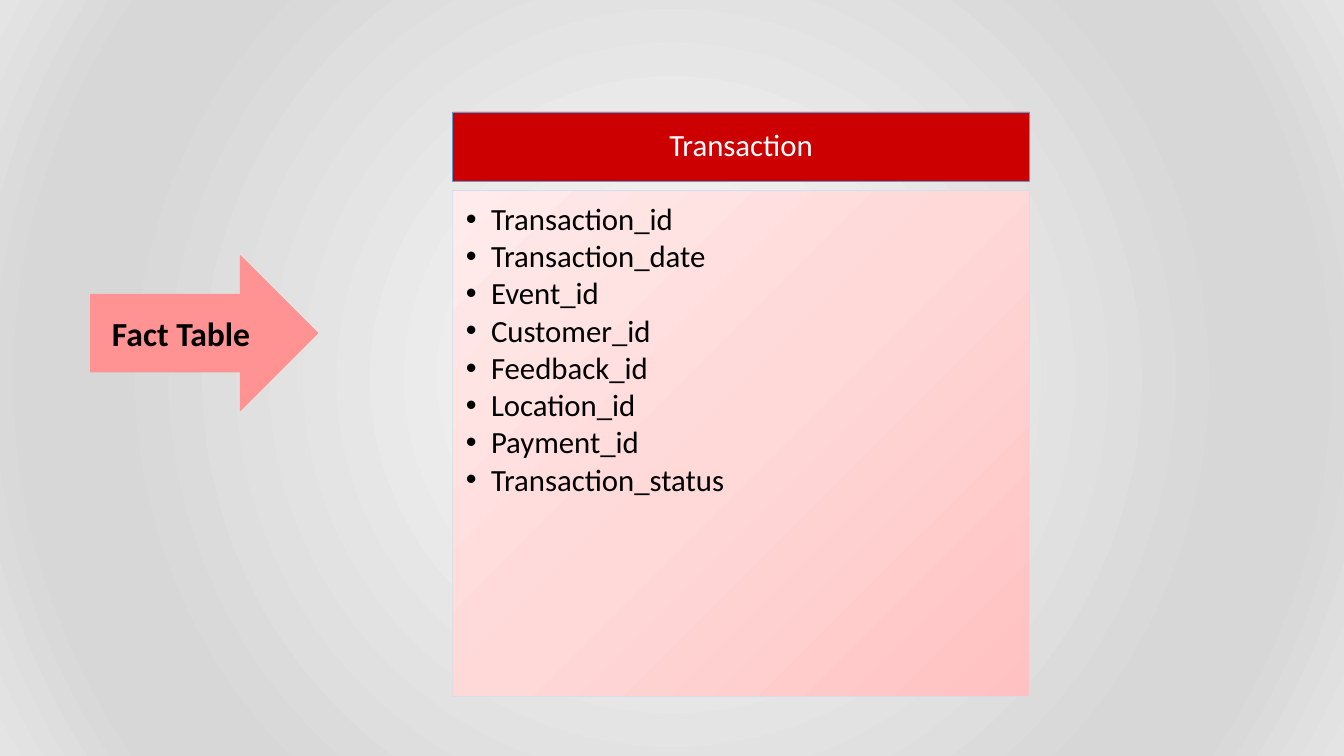
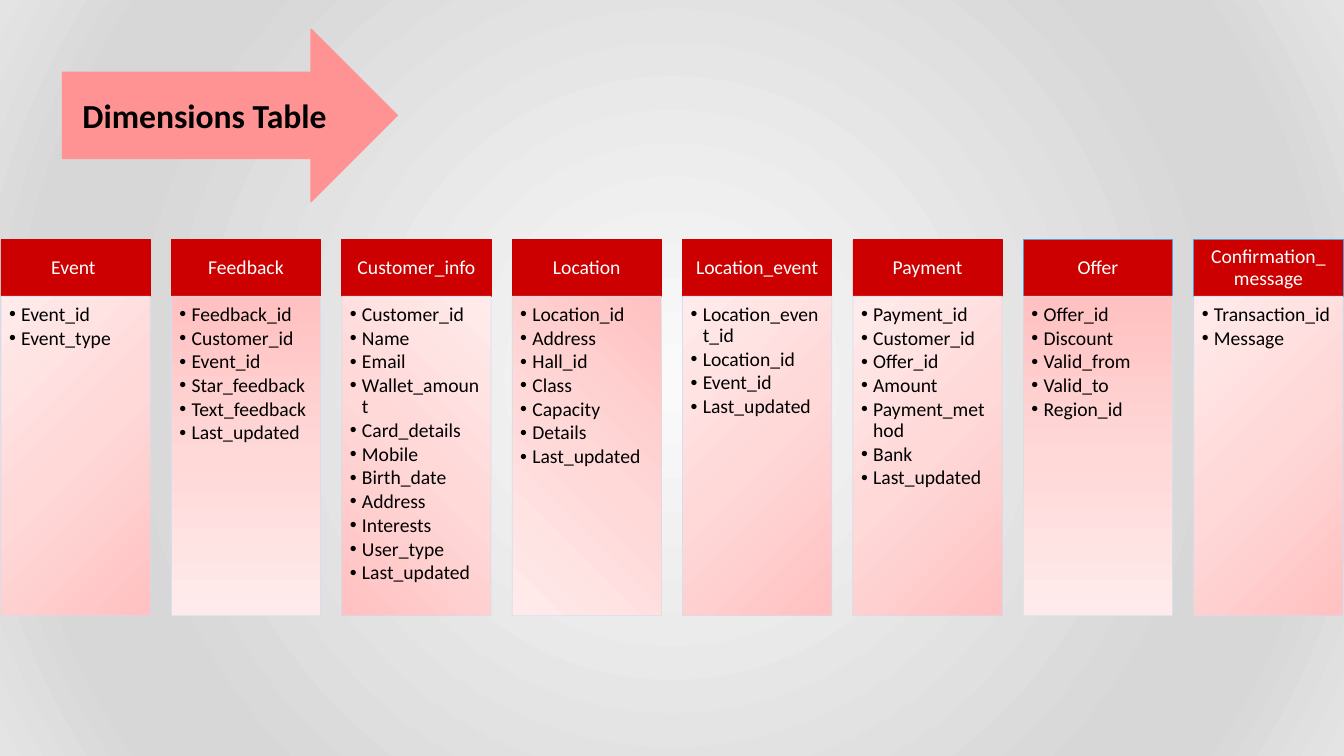
import pptx
import pptx.dml.color
import pptx.enum.shapes
import pptx.enum.text
import pptx.oxml
import pptx.oxml.ns
import pptx.util

RGBColor = pptx.dml.color.RGBColor
SHAPE = pptx.enum.shapes.MSO_SHAPE
ANCHOR = pptx.enum.text.MSO_ANCHOR
ALIGN = pptx.enum.text.PP_ALIGN
NS = pptx.oxml.ns.nsdecls("a")

PX = 9144
FONT = "Calibri"
RED = RGBColor(0xCC, 0x00, 0x00)
DARK_RED = RGBColor(0xC0, 0x00, 0x00)
BLUE = RGBColor(0x5B, 0x9B, 0xD5)
PINK = RGBColor(0xFF, 0x93, 0x93)
PALE_BLUE = RGBColor(0xD2, 0xDE, 0xEF)
BLACK = RGBColor(0x00, 0x00, 0x00)
WHITE = RGBColor(0xFF, 0xFF, 0xFF)
BODY_STOPS = [
    (0, RGBColor(0xFF, 0xC1, 0xC1)),
    (50, RGBColor(0xFF, 0xD8, 0xD8)),
    (100, RGBColor(0xFF, 0xEB, 0xEB)),
]
BACKGROUND_STOPS = [
    (0, RGBColor(0xFA, 0xFA, 0xFA)),
    (74, RGBColor(0xD7, 0xD7, 0xD7)),
    (83, RGBColor(0xD7, 0xD7, 0xD7)),
    (100, RGBColor(0xE4, 0xE4, 0xE4)),
]


def linear(degrees):
    """Return the shade of a straight gradient."""
    return f'<a:lin ang="{degrees * 60000}" scaled="1"/>'


def radial(left, top, right, bottom):
    """Return the shade of a circular gradient around a focus given in percent."""
    return (f'<a:path path="circle"><a:fillToRect l="{left * 1000}" t="{top * 1000}" '
            f'r="{right * 1000}" b="{bottom * 1000}"/></a:path>')


CENTRE = radial(50, 50, 50, 50)
BOTTOM_RIGHT = radial(100, 100, 0, 0)
BOTTOM_LEFT = radial(0, 100, 100, 0)
DOWN = linear(90)
DOWN_LEFT = linear(135)

FACT_TABLE = ("Transaction", BLUE, BOTTOM_RIGHT, [
    "Transaction_id", "Transaction_date", "Event_id", "Customer_id",
    "Feedback_id", "Location_id", "Payment_id", "Transaction_status"])
DIMENSION_TABLES = [
    ("Event ", RED, BOTTOM_RIGHT, ["Event_id", "Event_type"]),
    ("Feedback", RED, DOWN, [
        "Feedback_id", "Customer_id", "Event_id", "Star_feedback",
        "Text_feedback", "Last_updated"]),
    ("Customer_info", RED, BOTTOM_LEFT, [
        "Customer_id", "Name", "Email", "Wallet_amount", "Card_details", "Mobile",
        "Birth_date", "Address", "Interests", "User_type", "Last_updated"]),
    ("Location", DARK_RED, DOWN_LEFT, [
        "Location_id", "Address", "Hall_id", "Class", "Capacity", "Details",
        "Last_updated"]),
    ("Location_event", RED, BOTTOM_RIGHT, [
        "Location_event_id", "Location_id", "Event_id", "Last_updated"]),
    ("Payment", RED, BOTTOM_RIGHT, [
        "Payment_id", "Customer_id", "Offer_id", "Amount", "Payment_method",
        "Bank", "Last_updated"]),
    ("Offer", BLUE, DOWN, [
        "Offer_id", "Discount", "Valid_from", "Valid_to", "Region_id"]),
    ("Confirmation_\vmessage", BLUE, BOTTOM_RIGHT, ["Transaction_id", "Message"]),
]


def set_gradient(parent, stops, shade):
    """Replace the solid fill in parent by a gradient."""
    gs = "".join(f'<a:gs pos="{pos * 1000}"><a:srgbClr val="{color}"/></a:gs>'
                 for pos, color in stops)
    grad = pptx.oxml.parse_xml(
        f'<a:gradFill {NS} rotWithShape="1"><a:gsLst>{gs}</a:gsLst>{shade}</a:gradFill>')
    parent.replace(parent.find(pptx.oxml.ns.qn("a:solidFill")), grad)


def set_background(master):
    """Give every slide the grey radial background."""
    fill = master.background.fill
    fill.solid()
    fill.fore_color.rgb = WHITE
    set_gradient(master.element.xpath("p:cSld/p:bg/p:bgPr")[0], BACKGROUND_STOPS, CENTRE)


def add_box(slide, kind, box, fill, line, width):
    """Add a filled, outlined shape without shadow."""
    sp = slide.shapes.add_shape(kind, *(v * PX for v in box))
    sp.shadow.inherit = False
    sp.fill.solid()
    sp.fill.fore_color.rgb = fill
    sp.line.color.rgb = line
    sp.line.width = pptx.util.Pt(width)
    sp.text_frame.word_wrap = True
    return sp


def set_insets(tf, size, ratios):
    """Set left, top, right and bottom insets in proportion to the text size."""
    sides = ("margin_left", "margin_top", "margin_right", "margin_bottom")
    for side, ratio in zip(sides, ratios):
        setattr(tf, side, round(size * ratio) * PX)


def style(p, size, color, align, bold=False):
    """Format all text of a paragraph."""
    p.alignment = align
    for r in p.runs:
        r.font.name = FONT
        r.font.size = pptx.util.Pt(size)
        r.font.color.rgb = color
        r.font.bold = bold


def add_bullet(p, indent):
    """Give a paragraph a round bullet and a hanging indent."""
    pPr = p._p.get_or_add_pPr()
    pPr.set("marL", str(indent * PX))
    pPr.set("indent", str(-indent * PX))
    for xml in (f'<a:buFont {NS} typeface="Arial"/>', f'<a:buChar {NS} char="•"/>'):
        pPr.append(pptx.oxml.parse_xml(xml))


def add_arrow(slide, box, text):
    """Add the pink arrow that names the kind of table."""
    tf = add_box(slide, SHAPE.RIGHT_ARROW, box, PINK, PINK, 1).text_frame
    tf.vertical_anchor = ANCHOR.MIDDLE
    tf.text = text
    style(tf.paragraphs[0], 24, BLACK, ALIGN.CENTER, True)


def add_table_card(slide, box, table, head, gap, size, indent):
    """Add a red header above a shaded list of columns."""
    x, y, w, h = box
    name, outline, shade, columns = table
    tf = add_box(slide, SHAPE.RECTANGLE, (x, y, w, head), RED, outline, 0.5).text_frame
    tf.vertical_anchor = ANCHOR.MIDDLE
    set_insets(tf, size, (0.78, 0.44, 0.78, 0.44))
    tf.text = name
    tf.paragraphs[0].line_spacing = 0.9
    style(tf.paragraphs[0], size, WHITE, ALIGN.CENTER)

    top = head + gap
    sp = add_box(slide, SHAPE.RECTANGLE, (x, y + top, w, h - top), WHITE, PALE_BLUE, 0.5)
    set_gradient(sp.element.spPr, BODY_STOPS, shade)
    clr = sp.element.spPr.xpath("a:ln/a:solidFill/a:srgbClr")[0]
    clr.append(pptx.oxml.parse_xml(f'<a:alpha {NS} val="90000"/>'))
    tf = sp.text_frame
    tf.vertical_anchor = ANCHOR.TOP
    set_insets(tf, size, (0.58, 0.58, 0.78, 0.86))
    tf.text = "\n".join(columns)
    for p in tf.paragraphs:
        add_bullet(p, indent)
        p.line_spacing = 0.9
        p.space_after = pptx.util.Pt(size * 0.13)
        style(p, size, BLACK, ALIGN.LEFT)


def add_fact_slide(prs):
    """Add the slide with the one fact table."""
    slide = prs.slides.add_slide(prs.slide_layouts[6])
    add_table_card(slide, (449, 111, 572, 580), FACT_TABLE, 69, 9, 22, 25)
    add_arrow(slide, (90, 254, 225, 153), "Fact Table ")


def add_dimensions_slide(prs):
    """Add the slide with the row of dimension tables."""
    slide = prs.slides.add_slide(prs.slide_layouts[6])
    for i, table in enumerate(DIMENSION_TABLES):
        add_table_card(slide, (1 + 169 * i, 238, 148, 373), table, 56, 0, 14, 12)
    add_arrow(slide, (62, 29, 332, 171), "Dimensions Table ")


def main():
    """Build and save the presentation."""
    prs = pptx.Presentation()
    prs.slide_width = 1333 * PX
    prs.slide_height = 750 * PX
    set_background(prs.slide_master)
    add_fact_slide(prs)
    add_dimensions_slide(prs)
    prs.save("out.pptx")


if __name__ == "__main__":
    main()
